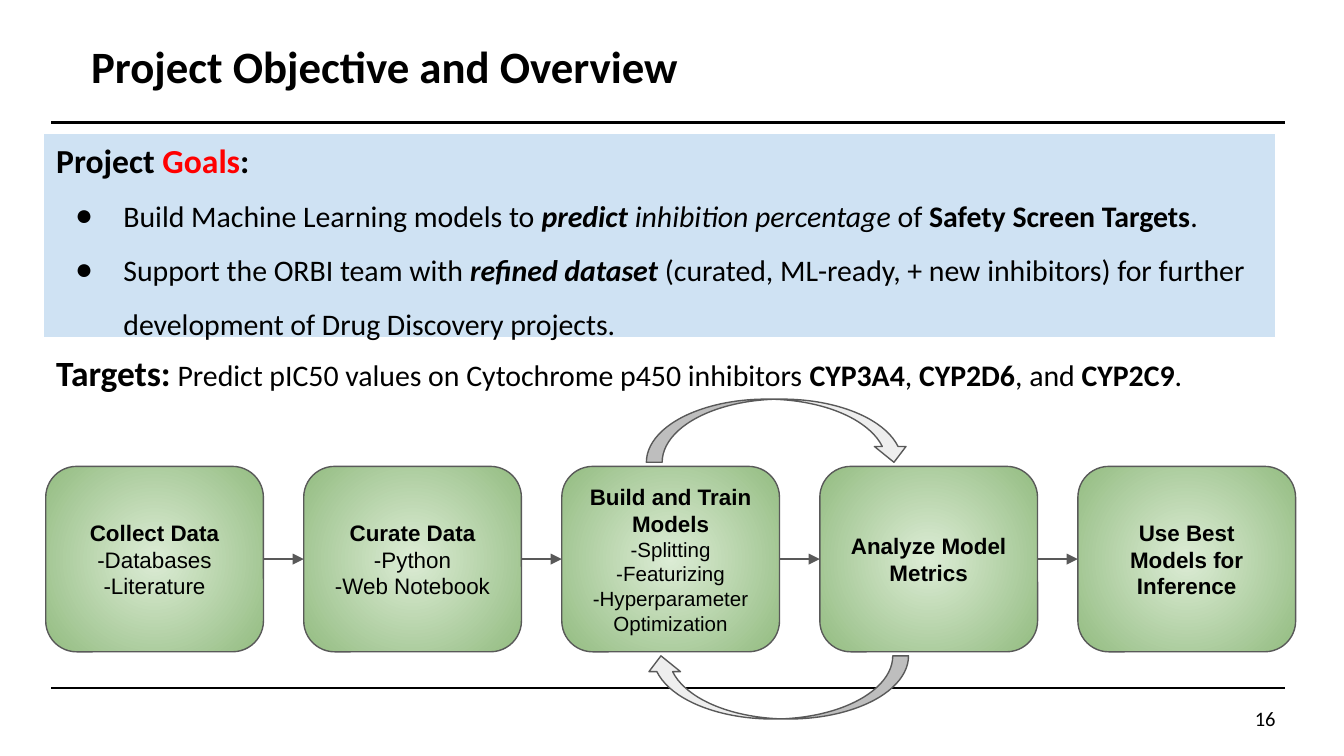
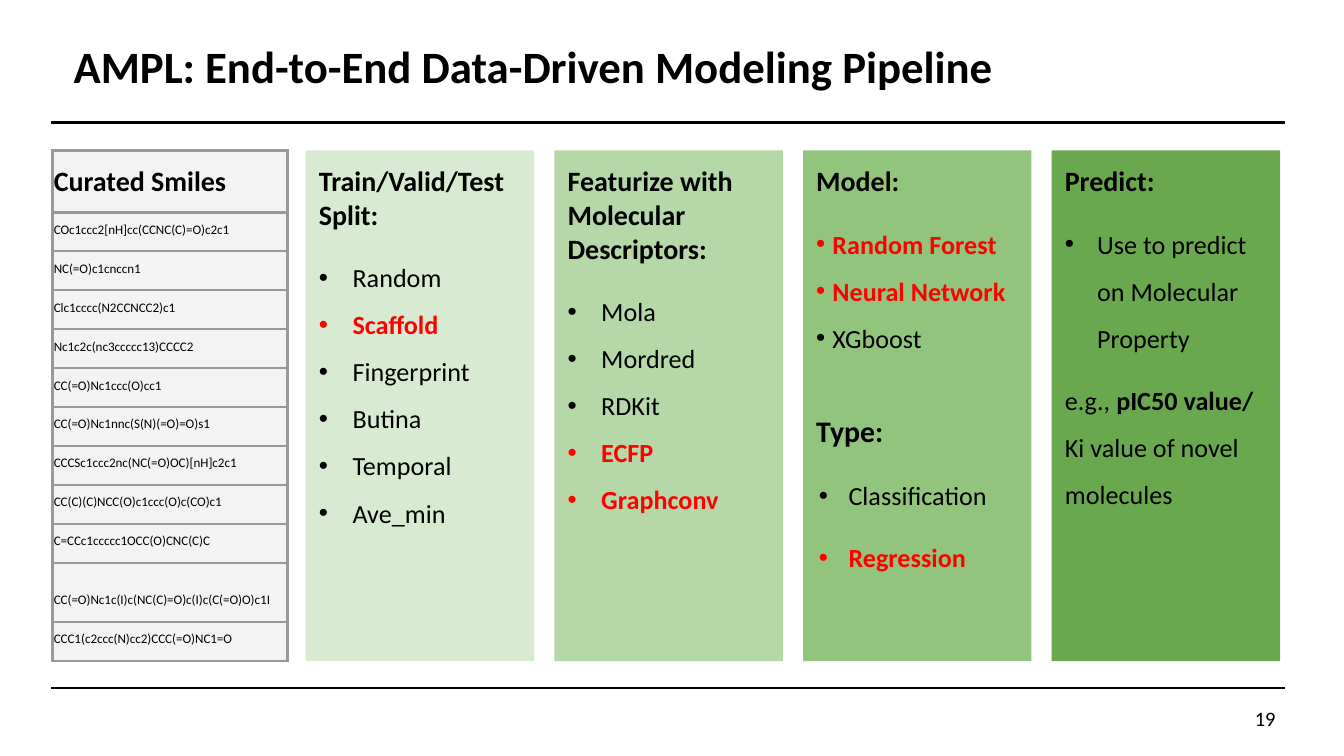
import dataclasses

import pptx
import pptx.dml.color
import pptx.enum.dml
import pptx.enum.shapes
import pptx.enum.text
import pptx.oxml.ns
import pptx.util
from lxml import etree

Pt = pptx.util.Pt
qn = pptx.oxml.ns.qn
SHAPE = pptx.enum.shapes.MSO_SHAPE
ALIGN = pptx.enum.text.PP_ALIGN
ANCHOR = pptx.enum.text.MSO_ANCHOR

BLACK, RED, WHITE, GRAY = "000000", "FF0000", "FFFFFF", "595959"
BOLD = {"bold": True}
BOLD_ITALIC = {"bold": True, "italic": True}


def rgb(color):
    return pptx.dml.color.RGBColor.from_string(color)


def cells(n):
    """Length of n grid cells; the slide is 100 columns by 56.25 rows."""
    return pptx.util.Inches(n / 10)


def sub(parent, tag, **attrs):
    return etree.SubElement(parent, qn(tag), **attrs)


@dataclasses.dataclass
class Para:
    """A paragraph; each run is a string or (string, font overrides)."""
    runs: list
    size: float = 14
    bold: bool = False
    color: str = BLACK
    font: str = "Calibri"
    align: ALIGN = ALIGN.LEFT
    spacing: float = 1.0
    before: float = 0
    bullet: str = ""
    left: float = 0
    hang: float = 0


class Deck:
    def __init__(self):
        self.prs = pptx.Presentation()
        self.prs.slide_width, self.prs.slide_height = cells(100), cells(56.25)

    def new_slide(self, title, title_left, number):
        self.slide = self.prs.slides.add_slide(self.prs.slide_layouts[6])
        self.shapes = self.slide.shapes
        for row, width in ((51.2, 0.75), (9.1, 1.5)):
            self.line((3.8, row), (95.6, row), BLACK, width)
        self.text((title_left, 2.3, 86.2, 4.6),
                  [Para([title], size=24, bold=True, spacing=0.9)])
        self.text((73.4, 52.1, 22.5, 2.7),
                  [Para([str(number)], size=11, align=ALIGN.RIGHT)],
                  anchor=ANCHOR.MIDDLE, inset=0.5)

    def line(self, start, end, color, width):
        cxn = self.shapes.add_connector(
            pptx.enum.shapes.MSO_CONNECTOR.STRAIGHT,
            *(cells(n) for n in (*start, *end)))
        cxn.line.color.rgb = rgb(color)
        cxn.line.width = Pt(width)
        sub(cxn._element.spPr, "a:effectLst")
        return cxn

    def arrow(self, a, b):
        """Arrow from the right side of a to the left side of b."""
        cxn = self.line((0, 0), (1, 1), GRAY, 0.75)
        cxn.begin_connect(a, 3)
        cxn.end_connect(b, 1)
        sub(cxn._element.spPr.find(qn("a:ln")), "a:tailEnd", type="triangle")

    def shape(self, kind, box, fill, line=None):
        """Preset shape; a pair of fill colours runs from centre to edge."""
        sp = self.shapes.add_shape(kind, *map(cells, box))
        sp.shadow.inherit = False
        if isinstance(fill, tuple):
            self.radial(sp, fill)
        else:
            sp.fill.solid()
            sp.fill.fore_color.rgb = rgb(fill)
        if line:
            sp.line.color.rgb = rgb(line)
            sp.line.width = Pt(0.75)
        else:
            sp.line.fill.background()
        return sp

    def radial(self, sp, colors):
        sp.fill.gradient()
        for stop, color in zip(sp.fill.gradient_stops, colors):
            stop.color.rgb = rgb(color)
        grad = sp._element.spPr.find(qn("a:gradFill"))
        grad.remove(grad.find(qn("a:lin")))
        circle = sub(grad, "a:path", path="circle")
        sub(circle, "a:fillToRect", **dict.fromkeys("ltrb", "50000"))

    def text(self, box, paras, **options):
        sp = self.shapes.add_textbox(*map(cells, box))
        self.fill_frame(sp.text_frame, paras, **options)

    def fill_frame(self, tf, paras, anchor=ANCHOR.TOP, inset=1.0):
        tf.word_wrap = True
        tf.vertical_anchor = anchor
        tf.margin_left = tf.margin_right = cells(1)
        tf.margin_top = tf.margin_bottom = cells(inset)
        for i, para in enumerate(paras):
            p = tf.add_paragraph() if i else tf.paragraphs[0]
            self.fill_paragraph(p, para)

    def fill_paragraph(self, p, para):
        p.alignment = para.align
        p.line_spacing = para.spacing
        p.space_before = Pt(para.before)
        if para.bullet:
            pPr = p._p.get_or_add_pPr()
            pPr.set("marL", str(cells(para.left)))
            pPr.set("indent", str(-cells(para.hang)))
            sub(sub(pPr, "a:buClr"), "a:srgbClr", val=para.color)
            sub(pPr, "a:buFont", typeface="Arial")
            sub(pPr, "a:buChar", char=para.bullet)
        p.font.name = para.font
        p.font.size = Pt(para.size)
        p.font.bold = para.bold
        p.font.color.rgb = rgb(para.color)
        for run in para.runs:
            text, changes = (run, {}) if isinstance(run, str) else run
            r = p.add_run()
            r.text = text
            r.font.bold = changes.get("bold")
            r.font.italic = changes.get("italic")
            r.font.size = changes.get("size")
            if "color" in changes:
                r.font.color.rgb = rgb(changes["color"])

    def table(self, box, heights, paras, fill, border):
        """One-column table."""
        tbl = self.shapes.add_table(len(paras), 1, *map(cells, box)).table
        tbl.first_row = tbl.horz_banding = False
        for row, height, para in zip(tbl.rows, heights, paras):
            row.height = cells(height)
            cell = row.cells[0]
            cell.vertical_anchor = ANCHOR.BOTTOM
            cell.margin_left = cell.margin_right = cell.margin_top = cells(0.1)
            cell.margin_bottom = cells(1)
            for side in "LRTB":
                ln = sub(cell._tc.get_or_add_tcPr(), f"a:ln{side}", w=str(Pt(1.5)))
                sub(sub(ln, "a:solidFill"), "a:srgbClr", val=border)
            cell.fill.solid()
            cell.fill.fore_color.rgb = rgb(fill)
            self.fill_paragraph(cell.text_frame.paragraphs[0], para)


def overview(deck):
    deck.new_slide("Project Objective and Overview", 5.8, 16)
    steps = [
        ("Collect Data", 12, ["-Databases", "-Literature"]),
        ("Curate Data", 12, ["-Python", "-Web Notebook"]),
        ("Build and Train Models", 11,
         ["-Splitting", "-Featurizing", "-Hyperparameter Optimization"]),
        ("Analyze Model Metrics", 12, []),
        ("Use Best Models for Inference", 12, []),
    ]
    boxes = []
    for i, (name, size, details) in enumerate(steps):
        sp = deck.shape(SHAPE.ROUNDED_RECTANGLE, (3.4 + 19.2 * i, 34.7, 16.2, 13.8),
                        ("DCECD5", "93BC81"), GRAY)
        style = {"font": "Arial", "align": ALIGN.CENTER}
        deck.fill_frame(sp.text_frame,
                        [Para([name], size=12, bold=True, **style)]
                        + [Para([d], size=size, **style) for d in details],
                        anchor=ANCHOR.MIDDLE)
        boxes.append(sp)
    for a, b in zip(boxes, boxes[1:]):
        deck.arrow(a, b)

    goal = {"size": 16, "spacing": 1.5, "bullet": "●", "left": 5, "hang": 3.6}
    sp = deck.shape(SHAPE.RECTANGLE, (3.2, 9.9, 91.7, 15.2), "CFE2F3", WHITE)
    deck.fill_frame(sp.text_frame, [
        Para(["Project ", ("Goals", {"color": RED}), ":"], size=18, bold=True),
        Para(["Build Machine Learning models to ", ("predict ", BOLD_ITALIC),
              ("inhibition percentage", {"italic": True}), " of ",
              ("Safety Screen Targets", BOLD), "."], **goal),
        Para(["Support the ORBI team with ", ("refined dataset", BOLD_ITALIC),
              " (curated, ML-ready, + new inhibitors) for further development"
              " of Drug Discovery projects."], **goal),
    ], inset=0.5)
    deck.text((3.2, 25.1, 89.8, 5.2), [
        Para([("Targets:", {"bold": True, "size": Pt(19)}),
              " Predict pIC50 values on Cytochrome p450 inhibitors ",
              ("CYP3A4", BOLD), ",", (" CYP2D6", BOLD), ", and ",
              ("CYP2C9", BOLD), "."], size=16)])
    for left, top, turn in ((48.1, 29.7, 0), (48, 48.8, 180)):
        sp = deck.shape(SHAPE.CURVED_DOWN_ARROW, (left, top, 19.6, 4.7),
                        "EEEEEE", GRAY)
        sp.rotation = turn


def pipeline(deck):
    deck.new_slide("AMPL: End-to-End Data-Driven Modeling Pipeline", 4.5, 19)
    smiles = [
        "COc1ccc2[nH]cc(CCNC(C)=O)c2c1", "NC(=O)c1cnccn1",
        "Clc1cccc(N2CCNCC2)c1", "Nc1c2c(nc3ccccc13)CCCC2",
        "CC(=O)Nc1ccc(O)cc1", "CC(=O)Nc1nnc(S(N)(=O)=O)s1",
        "CCCSc1ccc2nc(NC(=O)OC)[nH]c2c1", "CC(C)(C)NCC(O)c1ccc(O)c(CO)c1",
        "C=CCc1ccccc1OCC(O)CNC(C)C",
        "CC(=O)Nc1c(I)c(NC(C)=O)c(I)c(C(=O)O)c1I",
        "CCC1(c2ccc(N)cc2)CCC(=O)NC1=O",
    ]
    deck.table((3.9, 11.2, 17.5, 38), [4.6] + [2.9] * 9 + [4.4, 2.9],
               [Para(["Curated Smiles"], size=15, bold=True)]
               + [Para([s], size=7) for s in smiles], "F3F3F3", "999999")

    chosen = {"Scaffold", "ECFP", "Graphconv", "Random Forest",
              "Neural Network", "Regression"}

    def items(names, left=2.5, hang=2.5, gap=0):
        """Bullets, with the chosen options in bold red."""
        return [Para([n], bold=n in chosen, color=RED if n in chosen else BLACK,
                     spacing=1.5, before=gap if i else 8, bullet="•",
                     left=left, hang=hang) for i, n in enumerate(names)]

    panels = [
        ("Train/Valid/Test Split:", "D9EAD3",
         items(["Random", "Scaffold", "Fingerprint", "Butina", "Temporal", "Ave_min"])),
        ("Featurize with Molecular Descriptors:", "B6D7A8",
         items(["Mola", "Mordred", "RDKit", "ECFP", "Graphconv"])),
        ("Model:", "93C47D",
         items(["Random Forest", "Neural Network", "XGboost"], 1.2, 1.2)
         + [Para(["Type:"], size=16, bold=True, spacing=0.9, before=34)]
         + items(["Classification", "Regression"], 2.4, 2.2, gap=8)),
        ("Predict:", "6AA84F",
         items(["Use to predict on Molecular Property"], 2.4, 2.4)
         + [Para(["e.g., ", ("pIC50 value/", BOLD), " Ki value of novel molecules"],
                 spacing=1.5, before=8)]),
    ]
    for i, (heading, fill, body) in enumerate(panels):
        sp = deck.shape(SHAPE.ROUNDED_RECTANGLE, (22.75 + 18.5 * i, 11.2, 17, 38), fill)
        sp.adjustments[0] = 0
        deck.fill_frame(sp.text_frame, [Para([heading], size=15, bold=True)] + body)


def main():
    deck = Deck()
    overview(deck)
    pipeline(deck)
    deck.prs.save("out.pptx")


if __name__ == "__main__":
    main()
